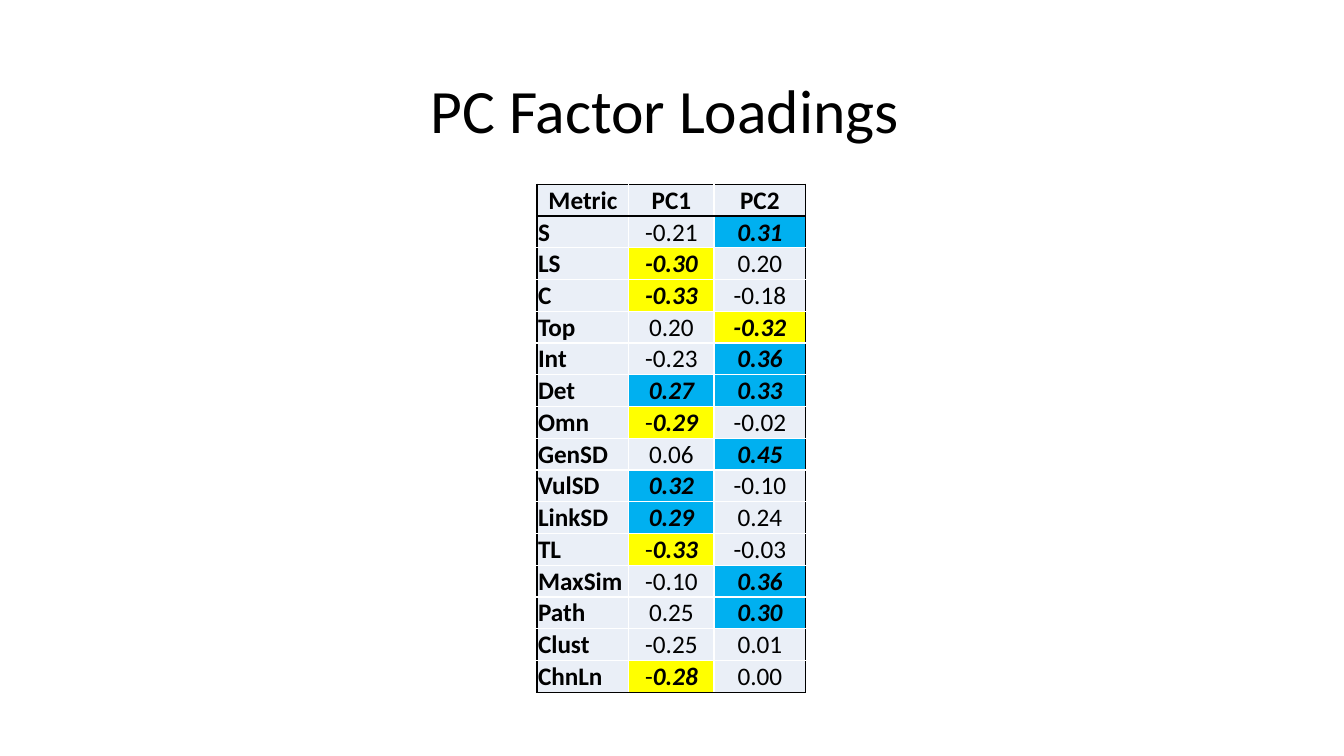
import dataclasses

import lxml.etree
import pptx
import pptx.dml.color
import pptx.enum.text
import pptx.oxml.ns
import pptx.util

Pt = pptx.util.Pt
ALIGN = pptx.enum.text.PP_ALIGN
ANCHOR = pptx.enum.text.MSO_ANCHOR


@dataclasses.dataclass(frozen=True)
class Theme:
    font: str = "Calibri"
    title_size: float = 44
    cell_size: float = 18
    text: str = "000000"
    frame: str = "000000"
    grid: str = "FFFFFF"
    cell: str = "EAEFF7"
    positive: str = "00B0F0"
    negative: str = "FFFF00"
    border: float = 1
    threshold: float = 0.27


def apply(obj, values):
    for name, value in values.items():
        setattr(obj, name, value)


def rgb(color):
    return pptx.dml.color.RGBColor.from_string(color)


class SlideBuilder:
    def __init__(self, slide, theme):
        self.s = slide
        self.theme = theme

    def run(self, p, text, size, **style):
        r = p.add_run()
        r.text = text
        apply(r.font, {"name": self.theme.font, "size": Pt(size), **style})
        r.font.color.rgb = rgb(self.theme.text)

    def title(self, text, left, top, width, height):
        sp = self.s.shapes.title
        apply(sp, {"left": Pt(left), "top": Pt(top),
                   "width": Pt(width), "height": Pt(height)})
        tf = sp.text_frame
        apply(tf, {"word_wrap": True, "vertical_anchor": ANCHOR.MIDDLE})
        p = tf.paragraphs[0]
        apply(p, {"alignment": ALIGN.CENTER, "line_spacing": 0.9})
        self.run(p, text, self.theme.title_size)

    def borders(self, cell, colors):
        tc_pr = cell._tc.get_or_add_tcPr()
        for side in "LRTB":
            ln = lxml.etree.SubElement(tc_pr, pptx.oxml.ns.qn(f"a:ln{side}"),
                                       w=str(Pt(self.theme.border)))
            fill = lxml.etree.SubElement(ln, pptx.oxml.ns.qn("a:solidFill"))
            lxml.etree.SubElement(fill, pptx.oxml.ns.qn("a:srgbClr"), val=colors[side])

    def cell(self, cell, parts, fill, align, edges, **style):
        t = self.theme
        self.borders(cell, {side: t.frame if on else t.grid for side, on in edges.items()})
        cell.fill.solid()
        cell.fill.fore_color.rgb = rgb(fill)
        apply(cell, {"margin_left": Pt(0.7), "margin_right": Pt(0.7),
                     "margin_top": Pt(0.7), "margin_bottom": 0,
                     "vertical_anchor": ANCHOR.BOTTOM})
        p = cell.text_frame.paragraphs[0]
        p.alignment = align
        for part in parts:
            self.run(p, part, t.cell_size, **({} if part == "-" else style))

    def loadings_table(self, header, rows, left, top, widths, row_height):
        t = self.theme
        data = [header, *rows]
        table = self.s.shapes.add_table(
            len(data), len(header), Pt(left), Pt(top),
            Pt(sum(widths)), Pt(row_height * len(data))).table
        apply(table, {"first_row": False, "horz_banding": False})
        for column, width in zip(table.columns, widths):
            column.width = Pt(width)
        last_row, last_col = len(data) - 1, len(header) - 1
        for i, values in enumerate(data):
            table.rows[i].height = Pt(row_height)
            for j, value in enumerate(values):
                edges = {"L": j == 0, "R": j == last_col,
                         "T": i <= 1, "B": i in (0, last_row)}
                fill, style = t.cell, {"bold": i == 0 or j == 0}
                if i and j:
                    loading = float(value.replace("|", ""))
                    if abs(loading) >= t.threshold:
                        fill = t.positive if loading > 0 else t.negative
                        style = {"bold": True, "italic": True}
                align = ALIGN.LEFT if i and j == 0 else ALIGN.CENTER
                self.cell(table.cell(i, j), value.split("|"), fill, align, edges, **style)


HEADER = ("Metric", "PC1", "PC2")
LOADINGS = [
    ("S", "-0.21", "0.31"),
    ("LS", "-0.30", "0.20"),
    ("C", "-0.33", "-0.18"),
    ("Top", "0.20", "-0.32"),
    ("Int", "-0.23", "0.36"),
    ("Det", "0.27", "0.33"),
    ("Omn", "-|0.29", "-0.02"),
    ("GenSD", "0.06", "0.45"),
    ("VulSD", "0.32", "-0.10"),
    ("LinkSD", "0.29", "0.24"),
    ("TL", "-|0.33", "-0.03"),
    ("MaxSim", "-0.10", "0.36"),
    ("Path", "0.25", "0.30"),
    ("Clust", "-0.25", "0.01"),
    ("ChnLn", "-|0.28", "0.00"),
]


def main():
    prs = pptx.Presentation()
    apply(prs, {"slide_width": Pt(960), "slide_height": Pt(540)})
    s = prs.slides.add_slide(prs.slide_layouts[5])
    builder = SlideBuilder(s, Theme())
    builder.title("PC Factor Loadings ", 66, 28.75, 828, 104.4)
    builder.loadings_table(HEADER, LOADINGS, 383.6, 131.6, (65.6, 60.8, 65.6), 22.4)
    prs.save("out.pptx")


if __name__ == "__main__":
    main()
